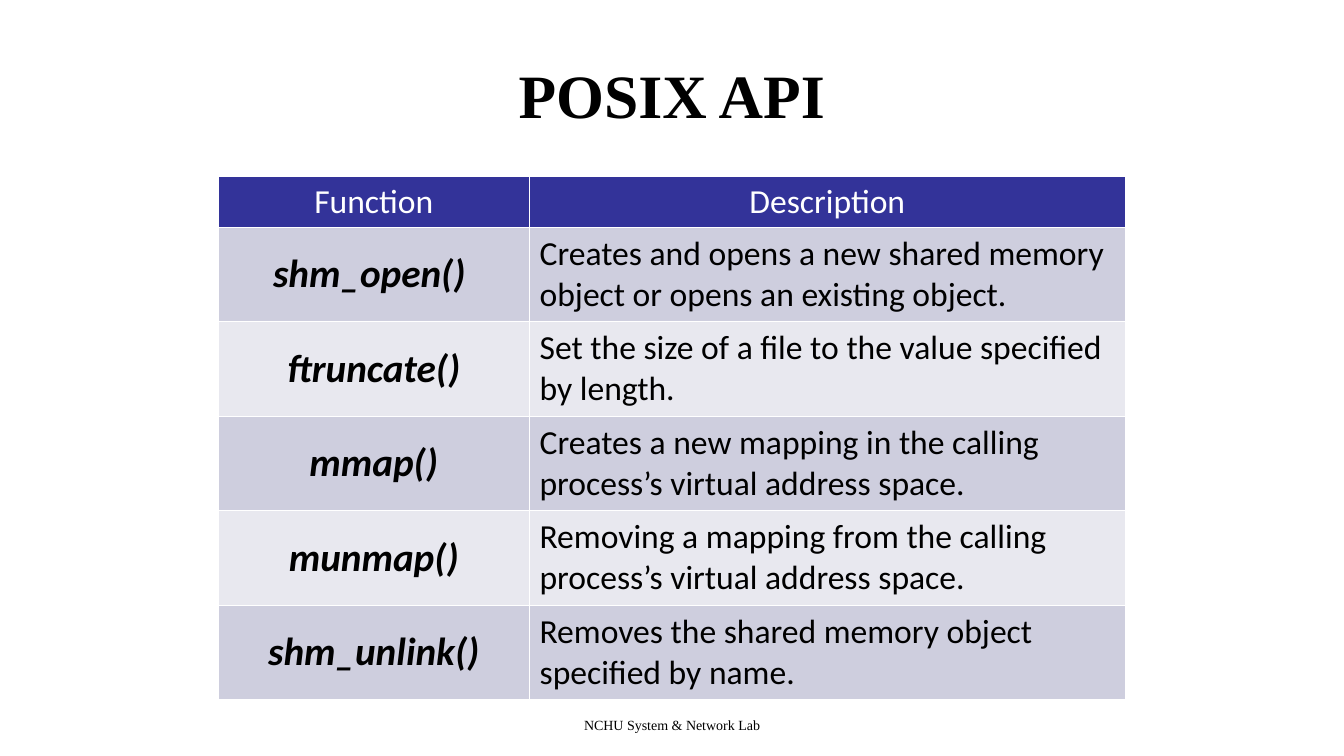
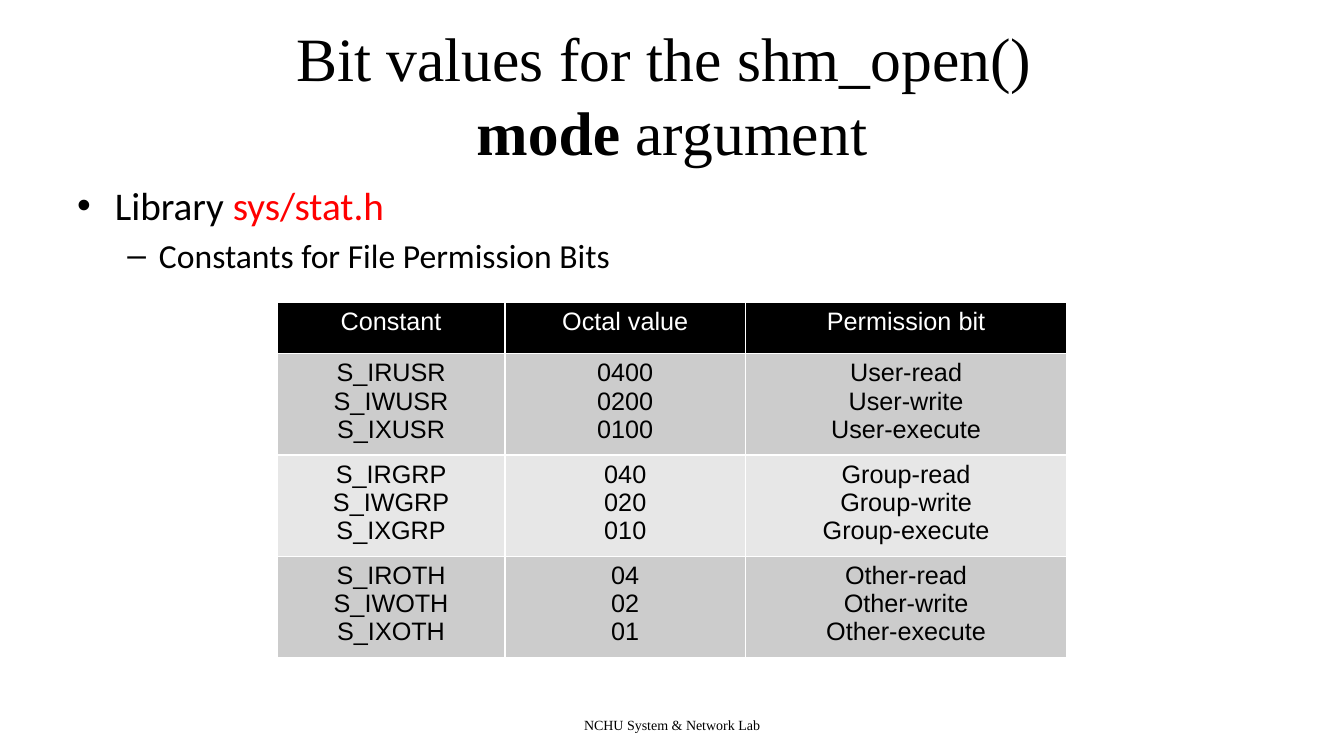
import lxml.etree
import pptx
import pptx.dml.color
import pptx.enum.text
import pptx.oxml.ns
import pptx.util

PX = 9525
COLORS = {
    "black": "000000", "white": "FFFFFF", "red": "FF0000", "navy": "333399",
    "lilac": "CECEDE", "pale lilac": "E8E8EF", "gray": "CCCCCC", "pale gray": "E7E7E7",
}
SERIF, SANS, TABLE_SANS = "Times New Roman", "Calibri", "Arial"
CENTER = pptx.enum.text.PP_ALIGN.CENTER
LEFT = pptx.enum.text.PP_ALIGN.LEFT
TOP = pptx.enum.text.MSO_ANCHOR.TOP
MIDDLE = pptx.enum.text.MSO_ANCHOR.MIDDLE
TITLE_AREA = (64, 29, 1152, 120)
BODY_AREA = (64, 168, 1152, 475)
FOOTER_AREA = (368, 678, 544, 23)
FOOTER = "NCHU System & Network Lab"
qn = pptx.oxml.ns.qn


def format_span(span, size, font, color="black", bold=False, italic=False):
    span.font.size = pptx.util.Pt(size)
    span.font.name = font
    span.font.bold = bold
    span.font.italic = italic
    span.font.color.rgb = pptx.dml.color.RGBColor.from_string(COLORS[color])


def add_grid(page, left, top, widths, heights, rows, fills, styles, anchor, inset):
    area = [PX * n for n in (left, top, sum(widths), sum(heights))]
    table = page.shapes.add_table(len(rows), len(widths), *area).table
    table.first_row = table.horz_banding = False
    for column, width in zip(table.columns, widths):
        column.width = PX * width
    for index, (row, height, texts) in enumerate(zip(table.rows, heights, rows)):
        row.height = PX * height
        fill = fills[0] if index == 0 else fills[2 - index % 2]
        for cell, text, style in zip(row.cells, texts, styles):
            for side in ("a:lnL", "a:lnR", "a:lnT", "a:lnB"):
                line = lxml.etree.SubElement(cell._tc.get_or_add_tcPr(), qn(side), w="12700")
                solid = lxml.etree.SubElement(line, qn("a:solidFill"))
                lxml.etree.SubElement(solid, qn("a:srgbClr"), val=COLORS["white"])
            cell.fill.solid()
            cell.fill.fore_color.rgb = pptx.dml.color.RGBColor.from_string(COLORS[fill])
            cell.vertical_anchor = anchor
            cell.margin_left = cell.margin_right = PX * inset
            cell.margin_top = cell.margin_bottom = PX * 5
            cell.text_frame.text = text
            size, font, bold, italic, align = style if index else styles[-1][:2] + (False, False, CENTER)
            for para in cell.text_frame.paragraphs:
                para.alignment = align
                for span in para.runs:
                    format_span(span, size, font, "black" if index else "white", bold, italic)


deck = pptx.Presentation()
deck.slide_width, deck.slide_height = PX * 1280, PX * 720

titles = [
    [[("POSIX API", True)]],
    [[("Bit values for the shm_open() ", False)], [("mode", True), (" argument", False)]],
]
pages = []
for title in titles:
    page = deck.slides.add_slide(deck.slide_layouts[6])
    pages.append(page)
    box = page.shapes.add_textbox(*[PX * n for n in TITLE_AREA])
    box.text_frame.word_wrap = True
    box.text_frame.vertical_anchor = MIDDLE
    para = box.text_frame.paragraphs[0]
    para.alignment = CENTER
    for number, line in enumerate(title):
        if number:
            para.add_line_break()
        for text, bold in line:
            span = para.add_run()
            span.text = text
            format_span(span, 44, SERIF, bold=bold)

    box = page.shapes.add_textbox(*[PX * n for n in FOOTER_AREA])
    box.text_frame.word_wrap = True
    box.text_frame.text = FOOTER
    para = box.text_frame.paragraphs[0]
    para.alignment = CENTER
    format_span(para.runs[0], 10, SERIF)

api_page, mode_page = pages

api_rows = [
    ("Function", "Description"),
    ("shm_open() ", "Creates and opens a new shared memory object or opens an existing object."),
    ("ftruncate()", "Set the size of a file to the value specified\nby length."),
    ("mmap()", "Creates a new mapping in the calling process’s virtual address space."),
    ("munmap()", "Removing a mapping from the calling process’s virtual address space."),
    ("shm_unlink()", "Removes the shared memory object specified by name."),
]
add_grid(
    api_page, 208, 168, (296, 568), [48] + [90] * 5, api_rows,
    ("navy", "lilac", "pale lilac"),
    [(28, SANS, True, True, CENTER), (24, SANS, False, False, LEFT)], MIDDLE, 10,
)

bullets = [
    ("•", 28, 36, 36, [("Library ", "black"), ("sys/stat.h", "red")]),
    ("–", 24, 78, 30, [("Constants for File Permission Bits", "black")]),
]
box = mode_page.shapes.add_textbox(*[PX * n for n in BODY_AREA])
box.text_frame.word_wrap = True
for level, (mark, size, margin, hanging, parts) in enumerate(bullets):
    para = box.text_frame.add_paragraph() if level else box.text_frame.paragraphs[0]
    para.level = level
    para.space_before = pptx.util.Pt(size * 0.2)
    properties = para._p.get_or_add_pPr()
    properties.set("marL", str(PX * margin))
    properties.set("indent", str(-PX * hanging))
    lxml.etree.SubElement(properties, qn("a:buFont"), typeface="Arial")
    lxml.etree.SubElement(properties, qn("a:buChar"), char=mark)
    for text, color in parts:
        span = para.add_run()
        span.text = text
        format_span(span, size, SANS, color)

mode_rows = [
    ("Constant", "Octal value", "Permission bit"),
    ("S_IRUSR\nS_IWUSR\nS_IXUSR", "0400\n0200\n0100", "User-read\nUser-write\nUser-execute"),
    ("S_IRGRP\nS_IWGRP\nS_IXGRP", "040\n020\n010", "Group-read\nGroup-write\nGroup-execute"),
    ("S_IROTH\nS_IWOTH\nS_IXOTH", "04\n02\n01", "Other-read\nOther-write\nOther-execute"),
]
add_grid(
    mode_page, 264, 288, (217, 229, 306), [49] + [96] * 3, mode_rows,
    ("black", "gray", "pale gray"),
    [(18, TABLE_SANS, False, False, CENTER)] * 3, TOP, 5,
)

deck.save("out.pptx")
